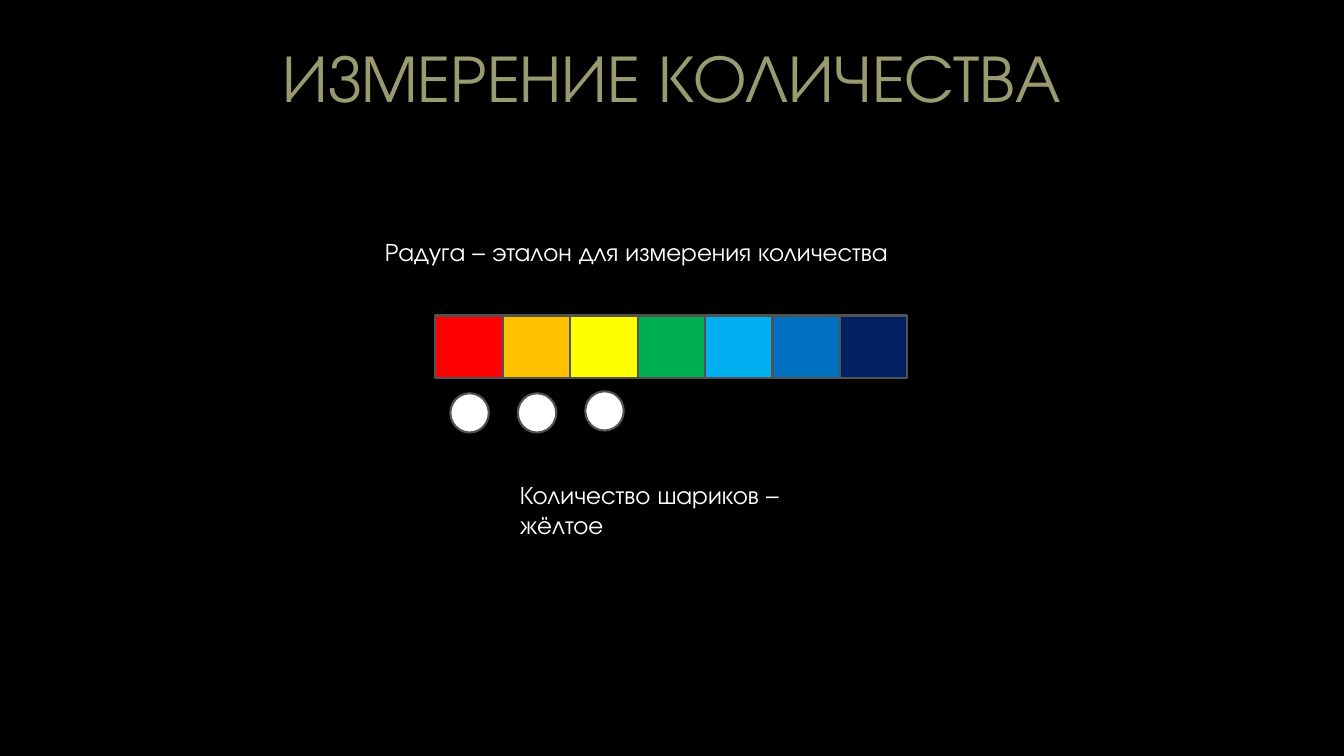
from pptx import Presentation
from pptx.dml.color import RGBColor
from pptx.enum.shapes import MSO_SHAPE
from pptx.enum.text import MSO_ANCHOR, PP_ALIGN
from pptx.util import Cm, Pt

RECT, OVAL = MSO_SHAPE.RECTANGLE, MSO_SHAPE.OVAL
TOP, MIDDLE = MSO_ANCHOR.TOP, MSO_ANCHOR.MIDDLE
LEFT, CENTER = PP_ALIGN.LEFT, PP_ALIGN.CENTER

FONT = "TeX Gyre Adventor"
BLACK = RGBColor(0x00, 0x00, 0x00)
WHITE = RGBColor(0xFF, 0xFF, 0xFF)
OLIVE = RGBColor(0x9A, 0x9A, 0x71)
GRAY = RGBColor(0x52, 0x52, 0x52)
RED = RGBColor(0xFF, 0x00, 0x00)
ORANGE = RGBColor(0xFF, 0xC0, 0x00)
YELLOW = RGBColor(0xFF, 0xFF, 0x00)
GREEN = RGBColor(0x00, 0xB0, 0x50)
SKY = RGBColor(0x00, 0xB0, 0xF0)
BLUE = RGBColor(0x00, 0x70, 0xC0)
NAVY = RGBColor(0x00, 0x20, 0x60)
RAINBOW = [RED, ORANGE, YELLOW, GREEN, SKY, BLUE, NAVY]

STEP = 1.7
BALL_DROPS = [0.05, 0.05, 0]


def add_text(slide, box, text, size, color, align=LEFT, anchor=TOP):
    frame = slide.shapes.add_textbox(*map(Cm, box)).text_frame
    frame.word_wrap = True
    frame.vertical_anchor = anchor
    frame.text = text
    para = frame.paragraphs[0]
    para.alignment = align
    font = para.runs[0].font
    font.name, font.size = FONT, Pt(size)
    font.color.rgb = color


def add_tile(group, kind, box, color):
    tile = group.shapes.add_shape(kind, *map(Cm, box))
    tile.shadow.inherit = False
    tile.fill.solid()
    tile.fill.fore_color.rgb = color
    tile.line.color.rgb = GRAY
    tile.line.width = Pt(1.5)


def add_rainbow(slide, box):
    left, top, width, height = box
    cell = width / len(RAINBOW)
    group = slide.shapes.add_group_shape()
    for i, color in enumerate(RAINBOW):
        add_tile(group, RECT, (left + i * cell, top, cell, height), color)


def add_balls(slide, box):
    left, top, width, height = box
    group = slide.shapes.add_group_shape()
    for i, drop in enumerate(BALL_DROPS):
        add_tile(group, OVAL, (left + i * STEP, top + drop, width, height), WHITE)


def main():
    deck = Presentation()
    deck.slide_width, deck.slide_height = Cm(33.87), Cm(19.05)
    slide = deck.slides.add_slide(deck.slide_layouts[6])
    slide.background.fill.solid()
    slide.background.fill.fore_color.rgb = BLACK

    add_text(slide, (4.88, 0.56, 24.1, 2.69), "ИЗМЕРЕНИЕ КОЛИЧЕСТВА",
             48, OLIVE, CENTER, MIDDLE)
    add_rainbow(slide, (10.97, 7.95, STEP * len(RAINBOW), 1.57))
    add_text(slide, (9.45, 5.82, 14.96, 1.02),
             "Радуга – эталон для измерения количества", 18, WHITE)
    add_balls(slide, (11.35, 9.86, 0.97, 0.99))
    add_text(slide, (12.85, 11.96, 8.18, 1.8),
             "Количество шариков – жёлтое", 18, WHITE)
    deck.save("out.pptx")


if __name__ == "__main__":
    main()
